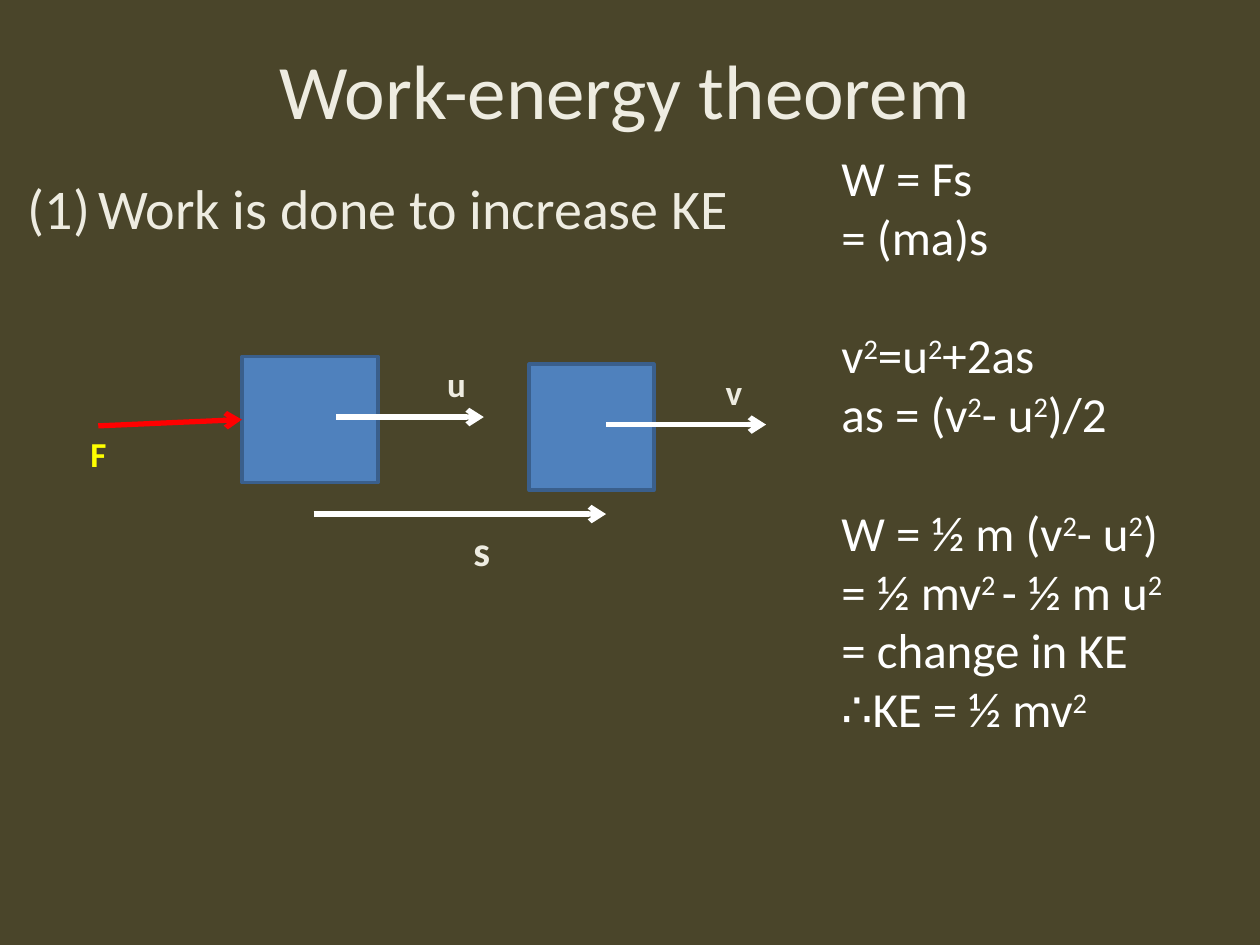
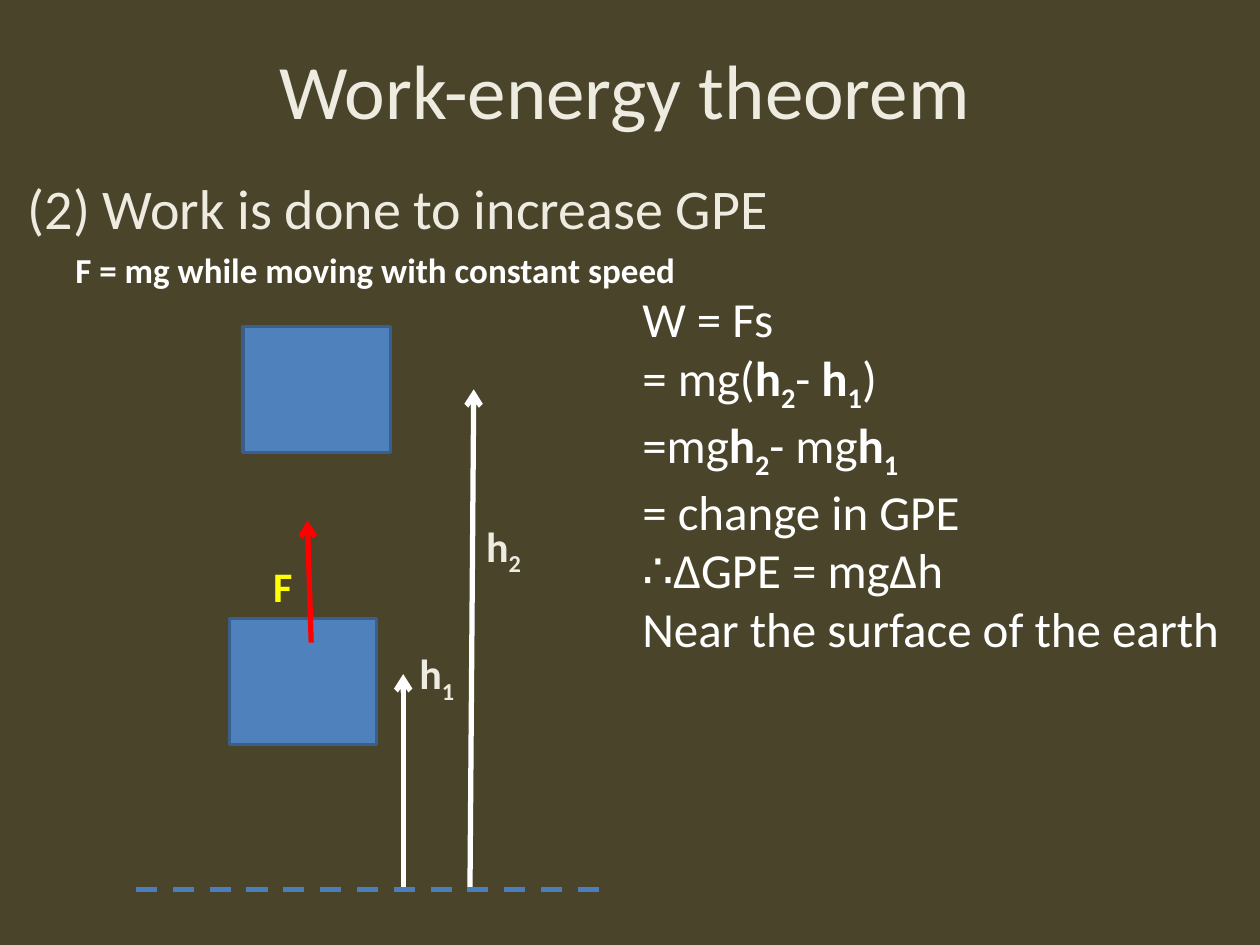
from lxml import etree
from pptx import Presentation
from pptx.dml.color import RGBColor
from pptx.enum.dml import MSO_LINE
from pptx.enum.shapes import MSO_CONNECTOR, MSO_SHAPE
from pptx.enum.text import MSO_ANCHOR, MSO_AUTO_SIZE, PP_ALIGN
from pptx.oxml.ns import qn
from pptx.util import Inches, Pt

DASH = MSO_LINE.DASH
STRAIGHT = MSO_CONNECTOR.STRAIGHT
RECTANGLE = MSO_SHAPE.RECTANGLE
MIDDLE = MSO_ANCHOR.MIDDLE
FIT_SHAPE = MSO_AUTO_SIZE.SHAPE_TO_FIT_TEXT
CENTER = PP_ALIGN.CENTER

OLIVE = RGBColor(0x4A, 0x45, 0x2A)
CREAM = RGBColor(0xEE, 0xEC, 0xE1)
WHITE = RGBColor(0xFF, 0xFF, 0xFF)
YELLOW = RGBColor(0xFF, 0xFF, 0x00)
RED = RGBColor(0xFF, 0x00, 0x00)
BLUE = RGBColor(0x4F, 0x81, 0xBD)
DARK_BLUE = RGBColor(0x3A, 0x5F, 0x8C)
GROUND_BLUE = RGBColor(0x4B, 0x7E, 0xBC)

FONT = "Calibri"
COLUMNS, ROWS = 100, 75
BASELINES = {"^": "30000", "_": "-25000"}
LEFT_SIDE = 1


class Deck:
    def __init__(self):
        self.presentation = Presentation()
        self.presentation.slide_width = Inches(10)
        self.presentation.slide_height = Inches(7.5)
        self.column = self.presentation.slide_width / COLUMNS
        self.row = self.presentation.slide_height / ROWS
        background = self.presentation.slide_master.background.fill
        background.solid()
        background.fore_color.rgb = OLIVE
        self.slide = None

    def grid(self, *lengths):
        units = (self.column, self.row) * 2
        return [round(length * unit) for length, unit in zip(lengths, units)]

    def place(self, shape, *box):
        shape.left, shape.top, shape.width, shape.height = self.grid(*box)

    def style(self, paragraph, size, color, bold=False):
        font = paragraph.font
        font.name, font.size, font.bold = FONT, Pt(size), bold
        font.color.rgb = color

    def add_runs(self, paragraph, markup):
        """Runs are split by |, with * for bold, ^ for superscript and _ for subscript."""
        for piece in markup.split("|"):
            run = paragraph.add_run()
            if piece.startswith("*"):
                run.font.bold = True
                piece = piece[1:]
            if piece[0] in BASELINES:
                run._r.get_or_add_rPr().set("baseline", BASELINES[piece[0]])
                piece = piece[1:]
            run.text = piece

    def add_slide(self, heading, heading_width, numbered=False):
        layout = self.presentation.slide_layouts[1]
        self.slide = self.presentation.slides.add_slide(layout)
        title, body = self.slide.placeholders[0], self.slide.placeholders[1]
        self.place(title, 5.3, 0.8, 90, 12.5)
        title.text_frame.text = "Work-energy theorem "
        title.text_frame.vertical_anchor = MIDDLE
        title_paragraph = title.text_frame.paragraphs[0]
        title_paragraph.alignment = CENTER
        self.style(title_paragraph, 44, CREAM)

        self.place(body, 1.2, 13.3, heading_width, 9.2)
        body.text_frame.text = heading
        paragraph = body.text_frame.paragraphs[0]
        self.style(paragraph, 32, CREAM)
        properties = paragraph._p.get_or_add_pPr()
        indent = Inches(0.56) if numbered else 0
        properties.set("marL", str(indent))
        properties.set("indent", str(-indent))
        bullet = etree.Element(qn("a:buAutoNum" if numbered else "a:buNone"))
        if numbered:
            bullet.set("type", "arabicParenBoth")
        properties.insert(0, bullet)

    def block(self, *box):
        shape = self.slide.shapes.add_shape(RECTANGLE, *self.grid(*box))
        shape.shadow.inherit = False
        shape.fill.solid()
        shape.fill.fore_color.rgb = BLUE
        shape.line.color.rgb = DARK_BLUE
        shape.line.width = Pt(2)
        return shape

    def line(self, start, end, color):
        connector = self.slide.shapes.add_connector(
            STRAIGHT, *self.grid(*start, *end))
        connector.line.color.rgb = color
        connector.line.width = Pt(3)
        etree.SubElement(connector._element.spPr, qn("a:effectLst"))
        return connector

    def arrow(self, start, end, color=WHITE):
        connector = self.line(start, end, color)
        outline = connector.line._get_or_add_ln()
        etree.SubElement(outline, qn("a:tailEnd"), type="arrow")
        return connector

    def text(self, box, lines, size, color, bold=False, wrap=False, gaps=()):
        frame = self.slide.shapes.add_textbox(*self.grid(*box)).text_frame
        frame.word_wrap = wrap
        frame.auto_size = FIT_SHAPE
        for index, markup in enumerate(lines):
            paragraph = frame.add_paragraph() if index else frame.paragraphs[0]
            self.style(paragraph, size, color, bold)
            if index in gaps:
                paragraph.space_before = Pt(size * 1.22)
            self.add_runs(paragraph, markup)

    def label(self, box, markup, size, color=CREAM):
        self.text(box, [markup], size, color, bold=True)

    def equations(self, box, lines, gaps=()):
        self.text(box, lines, 28, WHITE, gaps=gaps)


def kinetic_energy(deck):
    deck.add_slide("Work is done to increase KE", 59.2, numbered=True)
    start_block = deck.block(19.2, 28.3, 10.8, 10)
    deck.arrow((26.7, 33.1), (38.4, 33.1))
    deck.label((34.5, 28.3, 2.8, 4.4), "u", 20)
    deck.block(42, 28.9, 9.9, 10)
    deck.arrow((48.1, 33.7), (60.8, 33.7))
    deck.label((56.6, 28.9, 2.8, 4.4), "v", 20)
    deck.arrow((24.9, 40.8), (48.1, 40.8))
    deck.label((36.6, 41.1, 3.4, 5), "s", 24)
    force = deck.arrow((7.8, 33.8), (19.2, 33.3), RED)
    force.end_connect(start_block, LEFT_SIDE)
    deck.label((6.2, 33.8, 3.3, 4.4), "F", 20, YELLOW)
    deck.equations((65.8, 11.2, 28.2, 48.1), [
        "W = Fs",
        "= (ma)s",
        "v|^2|=u|^2|+2as",
        "as = (v|^2|- u|^2|)/2",
        "W = ½ m (v|^2|- u|^2|)",
        "= ½ mv|^2 |- ½ m u|^2",
        "= change in KE",
        "∴KE = ½ mv|^2",
    ], gaps=(2, 4))


def potential_energy(deck):
    ground = 70.6
    deck.add_slide("(2) Work is done to increase GPE", 62.9)
    deck.block(18.2, 49.1, 11.7, 10)
    deck.block(19.3, 25.9, 11.7, 10)
    deck.arrow((32, ground), (32, 53.5))
    deck.label((32.3, 50.9, 5, 5), "h|_1", 24)
    deck.arrow((24.7, 51), (24.4, 41.3), RED)
    deck.label((20.7, 44, 3.6, 5), "F", 24, YELLOW)
    deck.equations((50, 22.4, 48.3, 29.3), [
        "W = Fs",
        "= mg(|*h|*_2|- |*h|*_1|)",
        "=mg|*h|*_2|- mg|*h|*_1",
        "= change in GPE",
        "∴ΔGPE = mgΔh",
        "Near the surface of the earth",
    ])
    deck.text((5, 19.2, 50, 4.4), ["F = mg while moving with constant speed"],
              20, WHITE, bold=True, wrap=True)
    deck.arrow((37.3, ground), (37.6, 30.9))
    deck.label((37.6, 40.8, 5, 5), "h|_2", 24)
    ground_line = deck.line((10.8, ground), (48.3, ground), GROUND_BLUE)
    ground_line.line.dash_style = DASH


def main():
    deck = Deck()
    kinetic_energy(deck)
    potential_energy(deck)
    deck.presentation.save("out.pptx")


if __name__ == "__main__":
    main()
